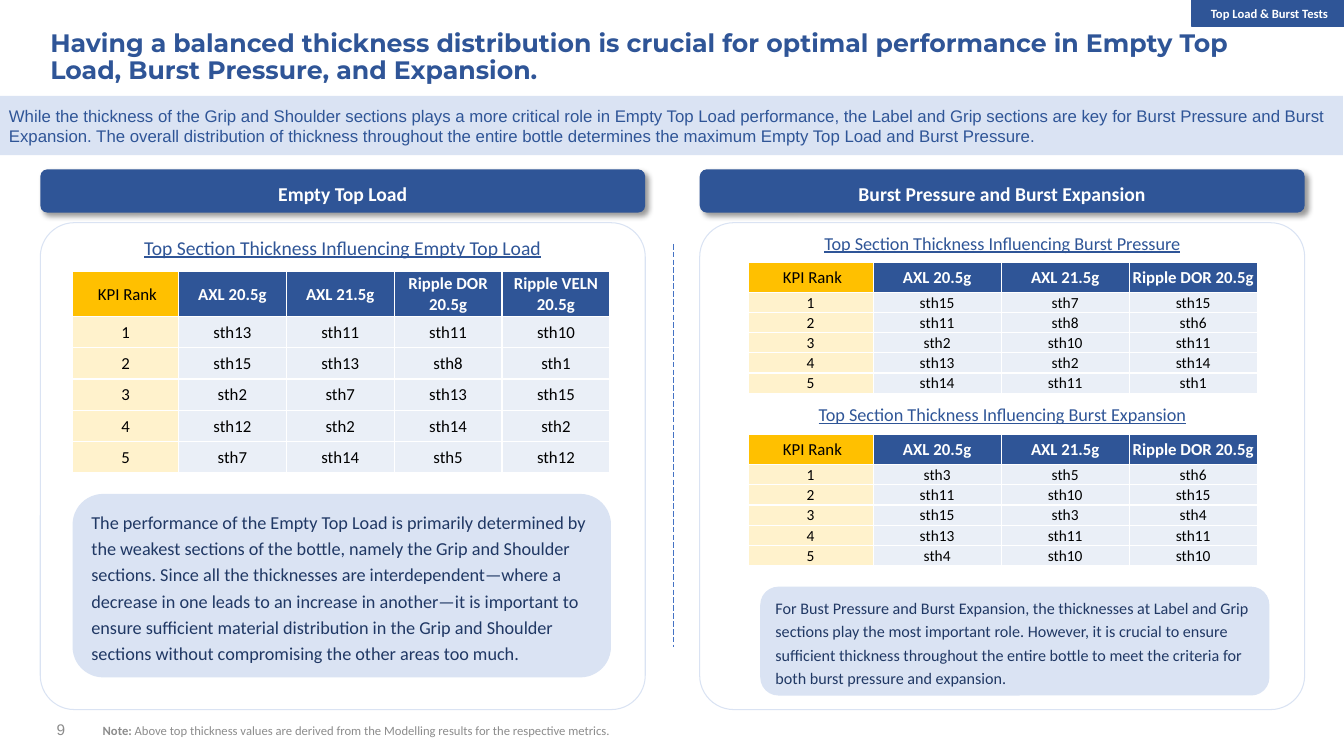
"""Build the slide on bottle thickness, top load and burst tests."""
from dataclasses import dataclass
from typing import Any, Optional

from lxml.etree import SubElement
from pptx import Presentation
from pptx.dml.color import RGBColor
from pptx.enum.dml import MSO_LINE
from pptx.enum.shapes import MSO_CONNECTOR, MSO_SHAPE as Preset
from pptx.enum.text import MSO_ANCHOR as Anchor, PP_ALIGN as Align
from pptx.oxml import parse_xml
from pptx.oxml.ns import nsdecls, qn
from pptx.util import Inches, Pt

NAVY, PALE, WHITE, GREY, INK = "2F5597", "DAE3F3", "FFFFFF", "8C8C8C", "203864"
GOLD, CREAM, MIST, BLACK, DIVIDER = "FFC000", "FFF2CC", "EAEFF7", "000000", "4472C4"
PANEL_WIDTH, PANEL_TOP, PANEL_HEIGHT = 6, 2.21, 4.83

Box = tuple[float, float, float, float]


@dataclass
class TextLook:
    size: float
    color: str
    face: str = "Calibri"
    bold: bool = False
    underline: bool = False
    align: Any = Align.LEFT
    spacing: float = 1.0
    anchor: Any = Anchor.MIDDLE


@dataclass
class Ranking:
    caption: str
    caption_box: Box
    caption_size: float
    left: float
    top: float
    rank_width: float
    design_width: float
    header_height: float
    rank_height: float
    rank_size: float
    designs: list[str]
    sections: list[str]


@dataclass
class Panel:
    left: float
    heading: str
    rankings: list[Ranking]
    finding: str
    finding_box: Box
    finding_size: float


def rgb(color: str) -> RGBColor:
    return RGBColor.from_string(color)


def apply(target: Any, values: dict[str, Any]) -> None:
    for attribute, value in values.items():
        setattr(target, attribute, value)


def write(frame: Any, parts: list[tuple[str, bool]], look: TextLook) -> None:
    apply(frame, {"word_wrap": True, "vertical_anchor": look.anchor})
    paragraph = frame.paragraphs[0]
    apply(paragraph, {"alignment": look.align, "line_spacing": look.spacing})
    for words, bold in parts:
        run = paragraph.add_run()
        run.text = words
        apply(run.font, {"name": look.face, "size": Pt(look.size), "bold": bold,
                         "underline": look.underline})
        run.font.color.rgb = rgb(look.color)


def add_label(slide: Any, box: Box, words: str, look: TextLook, lead: str = "") -> None:
    label = slide.shapes.add_textbox(*map(Inches, box))
    parts = [(lead, True)] if lead else []
    write(label.text_frame, parts + [(words, look.bold)], look)


def add_block(slide: Any, preset: Any, box: Box, fill: str, words: str = "",
              look: Optional[TextLook] = None, outline: str = "", weight: float = 1) -> Any:
    block = slide.shapes.add_shape(preset, *map(Inches, box))
    block.shadow.inherit = False
    block.fill.solid()
    block.fill.fore_color.rgb = rgb(fill)
    if outline:
        block.line.color.rgb = rgb(outline)
        block.line.width = Pt(weight)
    else:
        block.line.fill.background()
    if look:
        write(block.text_frame, [(words, look.bold)], look)
    return block


def add_drop_shadow(block: Any) -> None:
    effects = block._element.spPr.find(qn("a:effectLst"))
    effects.append(parse_xml(
        f'<a:outerShdw {nsdecls("a")} blurRad="{Pt(4)}" dist="{Pt(3)}" dir="2700000" '
        'algn="tl" rotWithShape="0"><a:srgbClr val="000000"><a:alpha val="40000"/>'
        '</a:srgbClr></a:outerShdw>'))


def style_cell(cell: Any, words: str, fill: str, look: TextLook) -> None:
    margin = Inches(0.01)
    apply(cell, {"margin_left": margin, "margin_right": margin, "margin_top": margin,
                 "margin_bottom": 0, "vertical_anchor": look.anchor})
    properties = cell._tc.get_or_add_tcPr()
    for side in ("lnL", "lnR", "lnT", "lnB"):
        properties.append(parse_xml(
            f'<a:{side} {nsdecls("a")} w="{Pt(1)}"><a:solidFill><a:srgbClr val="{WHITE}"/>'
            f'</a:solidFill></a:{side}>'))
    cell.fill.solid()
    cell.fill.fore_color.rgb = rgb(fill)
    write(cell.text_frame, [(words, look.bold)], look)


def add_ranking(slide: Any, ranking: Ranking) -> None:
    add_label(slide, ranking.caption_box, ranking.caption,
              TextLook(ranking.caption_size, NAVY, underline=True, align=Align.CENTER,
                       spacing=1.2, anchor=Anchor.TOP))
    rows = [[" KPI Rank", *ranking.designs]]
    rows += [[str(rank), *line.split()] for rank, line in enumerate(ranking.sections, 1)]
    widths = [ranking.rank_width] + [ranking.design_width] * len(ranking.designs)
    heights = [ranking.header_height] + [ranking.rank_height] * len(ranking.sections)
    box = (ranking.left, ranking.top, sum(widths), sum(heights))
    table = slide.shapes.add_table(len(rows), len(widths), *map(Inches, box)).table
    for column, width in zip(table.columns, widths):
        column.width = Inches(width)
    for row, height in zip(table.rows, heights):
        row.height = Inches(height)
    for r, values in enumerate(rows):
        for c, value in enumerate(values):
            header, design = r == 0, c > 0
            fill = (NAVY if design else GOLD) if header else (MIST if design else CREAM)
            look = TextLook(12 if header else ranking.rank_size,
                            WHITE if header and design else BLACK,
                            bold=header and design, align=Align.CENTER)
            style_cell(table.cell(r, c), value, fill, look)


def add_panel(slide: Any, panel: Panel) -> None:
    frame = add_block(slide, Preset.ROUNDED_RECTANGLE,
                      (panel.left, PANEL_TOP, PANEL_WIDTH, PANEL_HEIGHT), WHITE,
                      outline=PALE, weight=0.75)
    frame.adjustments[0] = 0.07
    add_drop_shadow(add_block(
        slide, Preset.ROUNDED_RECTANGLE, (panel.left, 1.68, PANEL_WIDTH, 0.43), NAVY,
        panel.heading, TextLook(14, WHITE, bold=True, align=Align.CENTER, spacing=1.2)))
    for ranking in panel.rankings:
        add_ranking(slide, ranking)
    add_block(slide, Preset.ROUNDED_RECTANGLE, panel.finding_box, PALE, panel.finding,
              TextLook(panel.finding_size, INK, spacing=1.2))


def burst_ranking(metric: str, caption_top: float, top: float, sections: list[str]) -> Ranking:
    return Ranking(f"Top Section Thickness Influencing Burst {metric}",
                   (7.2, caption_top, 5.48, 0.35), 13, 7.42, top, 1.24, 1.27, 0.3, 0.2, 11,
                   ["AXL 20.5g", "AXL 21.5g", "Ripple DOR 20.5g"], sections)


PANELS = [
    Panel(0.4, "Empty Top Load", [
        Ranking("Top Section Thickness Influencing Empty Top Load", (0.4, 2.24, 6, 0.36), 14,
                0.72, 2.69, 1.05, 1.07, 0.45, 0.31, 12,
                ["AXL 20.5g", "AXL 21.5g", "Ripple DOR 20.5g", "Ripple VELN 20.5g"],
                ["sth13 sth11 sth11 sth10", "sth15 sth13 sth8 sth1", "sth2 sth7 sth13 sth15",
                 "sth12 sth2 sth14 sth2", "sth7 sth14 sth5 sth12"])],
        "The performance of the Empty Top Load is primarily determined by the weakest sections "
        "of the bottle, namely the Grip and Shoulder sections. Since all the thicknesses are "
        "interdependent—where a decrease in one leads to an increase in another—it is important "
        "to ensure sufficient material distribution in the Grip and Shoulder sections without "
        "compromising the other areas too much.", (0.72, 4.9, 5.34, 1.82), 13),
    Panel(6.94, "Burst Pressure and Burst Expansion", [
        burst_ranking("Pressure", 2.21, 2.6, [
            "sth15 sth7 sth15", "sth11 sth8 sth6", "sth2 sth10 sth11", "sth13 sth2 sth14",
            "sth14 sth11 sth1"]),
        burst_ranking("Expansion", 3.91, 4.31, [
            "sth3 sth5 sth6", "sth11 sth10 sth15", "sth15 sth3 sth4", "sth13 sth11 sth11",
            "sth4 sth10 sth10"])],
        "For Bust Pressure and Burst Expansion, the thicknesses at Label and Grip sections play "
        "the most important role. However, it is crucial to ensure sufficient thickness "
        "throughout the entire bottle to meet the criteria for both burst pressure and "
        "expansion.", (7.54, 5.82, 5.05, 1.08), 11.5),
]


def main() -> None:
    deck = Presentation()
    apply(deck, {"slide_width": Inches(13.33), "slide_height": Inches(7.5)})
    slide = deck.slides.add_slide(deck.slide_layouts[6])
    add_label(slide, (0.4, 0.18, 12.55, 0.78),
              "Having a balanced thickness distribution is crucial for optimal performance in "
              "Empty Top Load, Burst Pressure, and Expansion.",
              TextLook(18, NAVY, "Montserrat", bold=True, spacing=0.9))
    add_block(slide, Preset.RECTANGLE, (-0.01, 0.95, 13.33, 0.59), PALE,
              "While the thickness of the Grip and Shoulder sections plays a more critical role "
              "in Empty Top Load performance, the Label and Grip sections are key for Burst "
              "Pressure and Burst Expansion. The overall distribution of thickness throughout "
              "the entire bottle determines the maximum Empty Top Load and Burst Pressure.",
              TextLook(12, NAVY, "Arial"))
    add_block(slide, Preset.RECTANGLE, (11.82, 0, 1.54, 0.26), NAVY, "Top Load & Burst Tests",
              TextLook(9, WHITE, bold=True, align=Align.CENTER), outline=NAVY)
    for panel in PANELS:
        add_panel(slide, panel)
    divider = slide.shapes.add_connector(
        MSO_CONNECTOR.STRAIGHT, *map(Inches, (6.68, 2.42, 6.68, 6.42)))
    divider.line.color.rgb = rgb(DIVIDER)
    apply(divider.line, {"width": Pt(0.5), "dash_style": MSO_LINE.LONG_DASH})
    SubElement(divider._element.spPr, qn("a:effectLst"))
    add_label(slide, (0.38, 7.14, 0.45, 0.2), "9",
              TextLook(11, GREY, "Arial", align=Align.CENTER))
    add_label(slide, (0.92, 7.14, 10.55, 0.22),
              "Above top thickness values are derived from the Modelling results for the "
              "respective metrics.", TextLook(9, GREY), lead="Note: ")
    deck.save("out.pptx")


if __name__ == "__main__":
    main()
